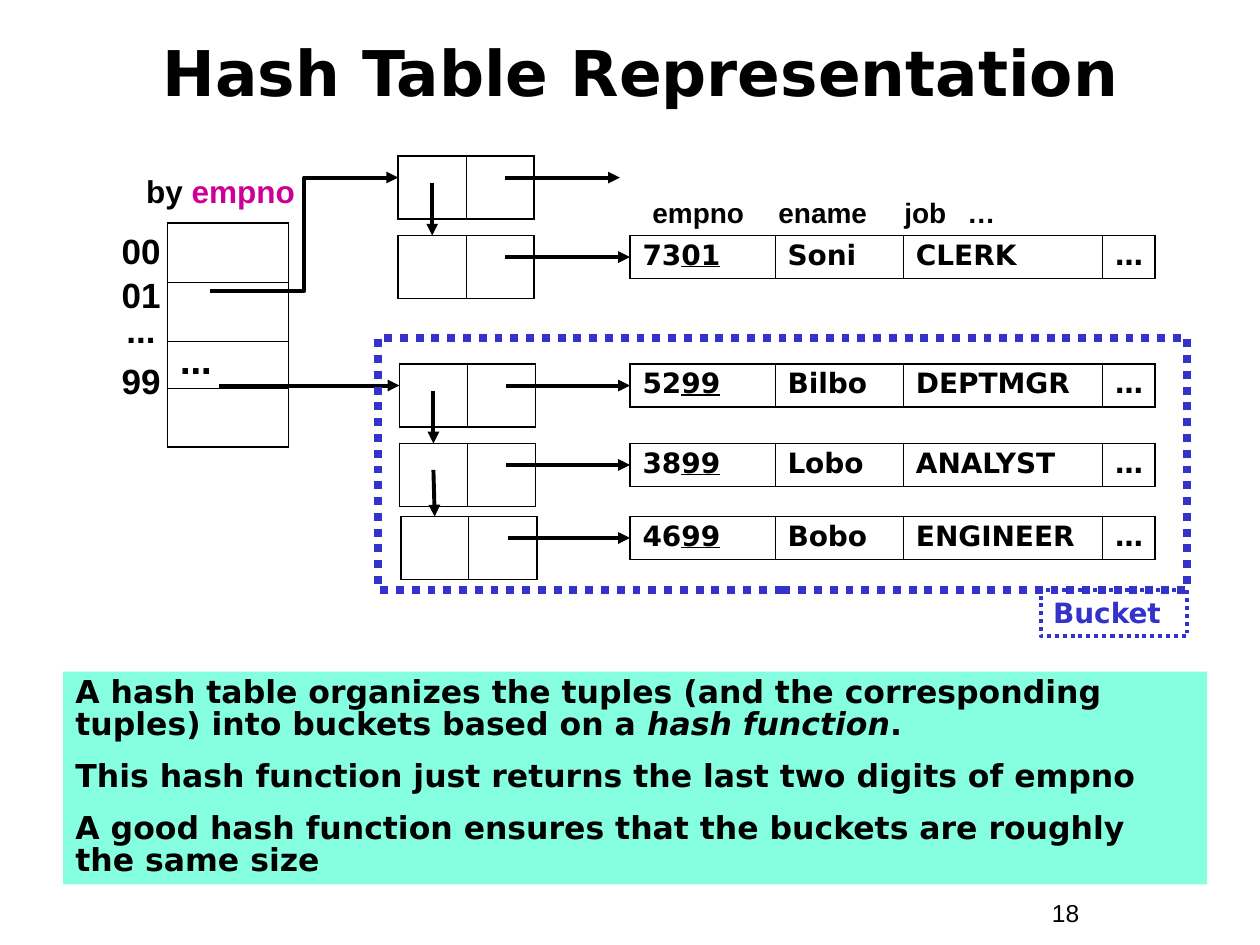
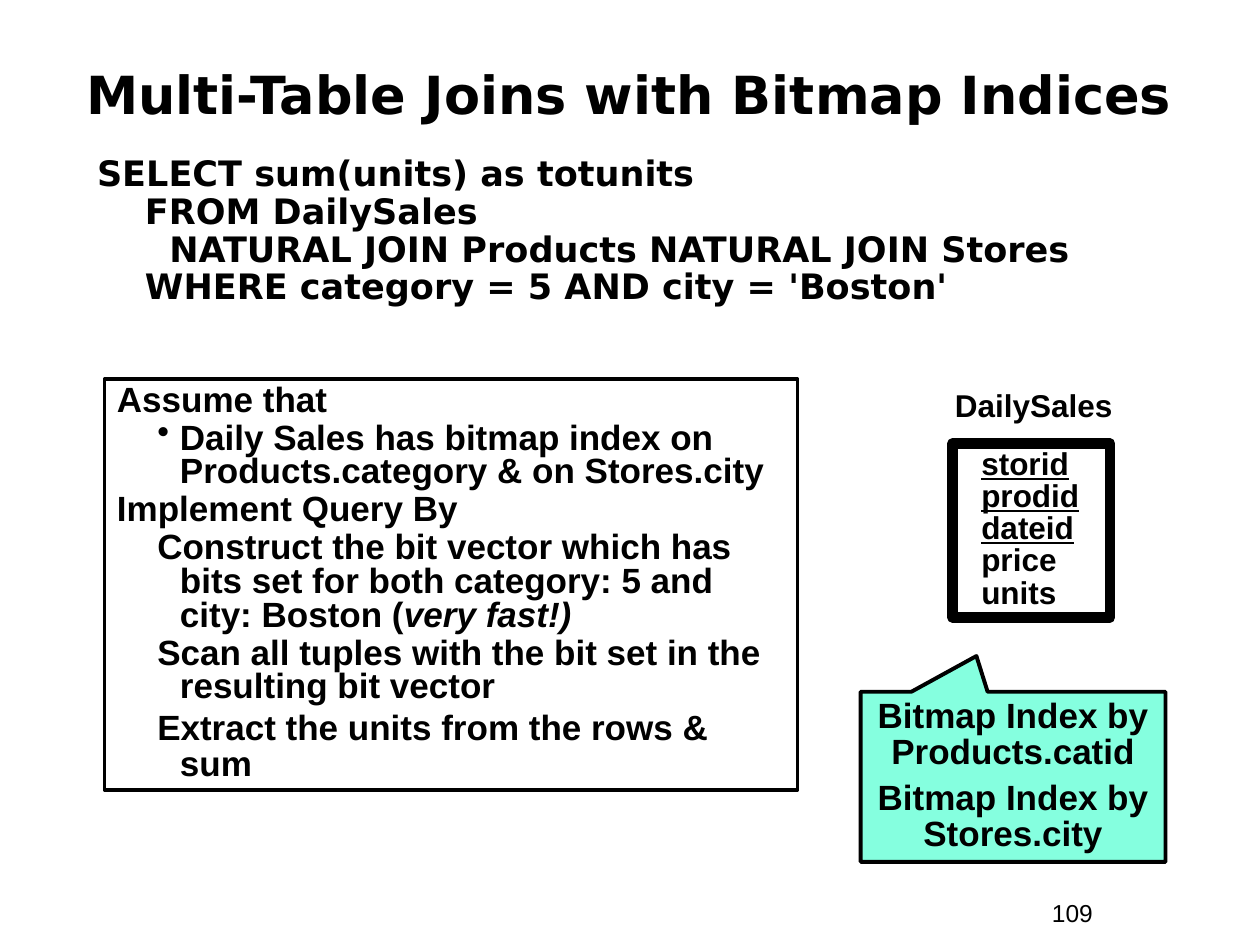
from lxml import etree
from pptx import Presentation
from pptx import util as u
from pptx.dml.color import RGBColor
from pptx.enum import dml, shapes, text
from pptx.oxml.ns import qn

COLORS = {"ink": "000000", "key": "CC0099", "bucket": "3333CC", "mint": "85FFDF"}
SANS, ARIAL = "DejaVu Sans", "Arial"
CENTER = text.PP_ALIGN.CENTER
MIDDLE = text.MSO_ANCHOR.MIDDLE
TITLE_ONLY, TITLE_AND_BODY = 5, 1
OUTER, INNER = 1.08, 0.45
ARROW_WIDTH = 2.25
RECORD_WIDTHS = [1.15, 1.02, 1.58, 0.42]
RECORD_LEFT = 5
NODE_WIDTHS = [0.54, 0.54]
NODE_HEIGHT = 0.5


def rgb(name):
    return RGBColor.from_string(COLORS[name])


def set_attributes(target, values):
    for name, value in values.items():
        setattr(target, name, value)


def style_font(font, size, name, color="ink", **values):
    set_attributes(font, {"size": u.Pt(size), "name": name, "bold": True, **values})
    font.color.rgb = rgb(color)


def para(*runs, hang=None, bullet=None, **layout):
    return {"runs": runs, "hang": hang, "bullet": bullet, "layout": layout}


def set_indent(paragraph, hang, bullet):
    properties = paragraph._p.get_or_add_pPr()
    left, first = hang or (0, 0)
    properties.set("marL", str(u.Inches(left)))
    properties.set("indent", str(u.Inches(first)))
    if bullet:
        etree.SubElement(properties, qn("a:buChar")).set("char", bullet)
    else:
        etree.SubElement(properties, qn("a:buNone"))


def write(frame, paragraphs, size, name, color="ink", anchor=None, **layout):
    set_attributes(frame, {"word_wrap": True, "auto_size": text.MSO_AUTO_SIZE.NONE})
    if anchor is not None:
        frame.vertical_anchor = anchor
    fill_paragraphs(frame, paragraphs, size, name, color, **layout)


def fill_paragraphs(frame, paragraphs, size, name, color="ink", **layout):
    for index, entry in enumerate(paragraphs):
        paragraph = frame.add_paragraph() if index else frame.paragraphs[0]
        set_indent(paragraph, entry["hang"], entry["bullet"])
        values = {"space_before": u.Pt(0), **layout, **entry["layout"]}
        if index == 0:
            values["space_before"] = u.Pt(0)
        set_attributes(paragraph, values)
        for run_entry in entry["runs"]:
            words, changes = run_entry if isinstance(run_entry, tuple) else (run_entry, {})
            for line_index, line in enumerate(words.split("\n")):
                if line_index:
                    paragraph.add_line_break()
                run = paragraph.add_run()
                run.text = line
                style_font(run.font, size, name, **{"color": color, **changes})


def place(shape, box):
    set_attributes(shape, dict(zip(("left", "top", "width", "height"), map(u.Inches, box))))


def add_slide(presentation, layout, title, box, size, number):
    slide = presentation.slides.add_slide(presentation.slide_layouts[layout])
    place(slide.shapes.title, box)
    write(slide.shapes.title.text_frame, [para(title)], size, SANS,
          anchor=MIDDLE, alignment=CENTER)
    add_text(slide, (8.25, 7.08, 0.92, 0.34), [para((number, {"bold": False}))], 14, ARIAL)
    return slide


def add_text(slide, box, paragraphs, size, name, **layout):
    shape = slide.shapes.add_textbox(*map(u.Inches, box))
    write(shape.text_frame, paragraphs, size, name, **layout)
    return shape


def add_box(slide, box, fill=None, line=None, width=ARROW_WIDTH, dash=None,
            kind=shapes.MSO_SHAPE.RECTANGLE):
    shape = slide.shapes.add_shape(kind, *map(u.Inches, box))
    shape.shadow.inherit = False
    if fill:
        shape.fill.solid()
        shape.fill.fore_color.rgb = rgb(fill)
    else:
        shape.fill.background()
    if line:
        shape.line.color.rgb = rgb(line)
        set_attributes(shape.line, {"width": u.Pt(width), "dash_style": dash})
    else:
        shape.line.fill.background()
    return shape


def write_box(shape, paragraphs, size, name, anchor=text.MSO_ANCHOR.TOP,
              alignment=text.PP_ALIGN.LEFT, **layout):
    write(shape.text_frame, paragraphs, size, name, anchor=anchor,
          alignment=alignment, **layout)


def add_arrow(slide, start, end, kind=shapes.MSO_CONNECTOR.STRAIGHT):
    arrow = slide.shapes.add_connector(kind, *map(u.Inches, start + end))
    arrow.line.color.rgb = rgb("ink")
    arrow.line.width = u.Pt(ARROW_WIDTH)
    line = arrow.line._get_or_add_ln()
    etree.SubElement(line, qn("a:tailEnd")).set("type", "triangle")
    etree.SubElement(arrow._element.spPr, qn("a:effectLst"))


def set_borders(cell, sides):
    properties = cell._tc.get_or_add_tcPr()
    for index, (side, outer) in enumerate(sides.items()):
        line = etree.Element(qn("a:ln" + side), w=str(u.Pt(OUTER if outer else INNER)))
        fill = etree.SubElement(line, qn("a:solidFill"))
        etree.SubElement(fill, qn("a:srgbClr")).set("val", COLORS["ink"])
        properties.insert(index, line)


def add_grid(slide, left, top, widths, heights, entries=None):
    rows, columns = len(heights), len(widths)
    box = (left, top, sum(widths), sum(heights))
    table = slide.shapes.add_table(rows, columns, *map(u.Inches, box)).table
    set_attributes(table, {"first_row": False, "horz_banding": False})
    for column, width in zip(table.columns, widths):
        column.width = u.Inches(width)
    for r, height in enumerate(heights):
        table.rows[r].height = u.Inches(height)
        for c in range(columns):
            cell = table.cell(r, c)
            cell.fill.background()
            set_borders(cell, {"L": c == 0, "R": c == columns - 1,
                               "T": r == 0, "B": r == rows - 1})
            if entries and (r, c) in entries:
                paragraph, size, anchor = entries[r, c]
                cell.vertical_anchor = anchor
                fill_paragraphs(cell.text_frame, [paragraph], size, SANS, line_spacing=0.9)


def add_record(slide, top, record):
    empno, ename, job = record
    cells = [para(empno[:2], (empno[2:], {"underline": True})),
             para(ename), para(job), para("…")]
    entries = {(0, c): (cell, 16, text.MSO_ANCHOR.TOP) for c, cell in enumerate(cells)}
    add_grid(slide, RECORD_LEFT, top, RECORD_WIDTHS, [0.34], entries)


def add_chain(slide, nodes):
    for left, top, record in nodes:
        add_grid(slide, left, top, NODE_WIDTHS, [NODE_HEIGHT])
        if record:
            add_record(slide, top, record)
        end = RECORD_LEFT if record else 4.92
        add_arrow(slide, (left + 0.85, top + 0.17), (end, top + 0.17))
    for (left, top, _), (next_left, next_top, _) in zip(nodes, nodes[1:]):
        add_arrow(slide, (left + 0.27, top + 0.21), (next_left + 0.27, next_top))


def add_column_names(slide):
    shape = add_text(slide, (5.08, 1.5, 4.75, 0.37), [para()], 16, ARIAL)
    paragraph = shape.text_frame.paragraphs[0]
    tabs = etree.SubElement(paragraph._p.get_or_add_pPr(), qn("a:tabLst"))
    for position in (1.03, 2.25, 3.87):
        etree.SubElement(tabs, qn("a:tab"), pos=str(u.Inches(position)), algn="l")
    run = paragraph.add_run()
    run.text = "empno\tename\tjob\t…"
    style_font(run.font, 16, ARIAL)


def build_hash_table(presentation):
    slide = add_slide(presentation, TITLE_ONLY, "Hash Table Representation",
                      (0.42, 0.11, 9.33, 0.92), 36, "18")
    add_grid(slide, 1.33, 1.77, [0.96], [0.47, 0.47, 0.37, 0.47],
             {(2, 0): (para("…"), 18, MIDDLE)})
    add_text(slide, (0.83, 1.77, 0.58, 1.47),
             [para("00"), para("01", space_before=u.Pt(1.2)),
              para("...", line_spacing=0.85), para("99", space_before=u.Pt(5))],
             20, ARIAL, alignment=CENTER)
    add_text(slide, (0.96, 1.32, 1.58, 0.4),
             [para("by ", ("empno", {"color": "key"}))], 18, ARIAL, alignment=CENTER)
    add_column_names(slide)

    add_chain(slide, [(3.16, 1.24, None), (3.16, 1.87, ("7301", "Soni", "CLERK"))])
    add_chain(slide, [(3.17, 2.89, ("5299", "Bilbo", "DEPTMGR")),
                      (3.17, 3.52, ("3899", "Lobo", "ANALYST")),
                      (3.18, 4.1, ("4699", "Bobo", "ENGINEER"))])
    add_arrow(slide, (1.67, 2.31), (3.16, 1.41), shapes.MSO_CONNECTOR.ELBOW)
    add_arrow(slide, (1.74, 3.06), (3.17, 3.06))

    dots = dml.MSO_LINE.ROUND_DOT
    add_box(slide, (3, 2.68, 6.42, 2), line="bucket", width=4.5, dash=dots)
    label = add_box(slide, (8.26, 4.68, 1.16, 0.37), line="bucket", dash=dots)
    write_box(label, [para("Bucket")], 16, SANS, color="bucket")

    summary = add_box(slide, (0.5, 5.33, 9.08, 1.69), fill="mint")
    write_box(summary, [
        para("A hash table organizes the tuples (and the corresponding tuples) "
             "into buckets based on a ", ("hash function", {"italic": True}), "."),
        para("This hash function just returns the last two digits of empno"),
        para("A good hash function ensures that the buckets are roughly the same size"),
    ], 18, SANS, line_spacing=0.85, space_before=u.Pt(11.2))


def build_bitmap_joins(presentation):
    slide = add_slide(presentation, TITLE_AND_BODY, "Multi-Table Joins with Bitmap Indices",
                      (0.33, 0.28, 9.33, 0.92), 30, "109")
    query = slide.placeholders[1]
    place(query, (0.67, 1.19, 8.5, 1.67))
    clauses = ["FROM DailySales", "  NATURAL JOIN Products NATURAL JOIN Stores",
               "WHERE category = 5 AND city = 'Boston'"]
    write(query.text_frame,
          [para("SELECT sum(units) as totunits")]
          + [para(clause, hang=(0.38, 0)) for clause in clauses],
          20, SANS, line_spacing=0.9)

    plan = add_box(slide, (0.83, 3.01, 5.5, 3.26), line="ink")
    step = (0.5, -0.18)
    write_box(plan, [
        para("Assume that"),
        para("Daily Sales has bitmap index on Products.category & on Stores.city",
             hang=step, bullet="•"),
        para("Implement Query By"),
        para("Construct the bit vector which has bits set for both category: 5 and\n"
             "city: Boston (", ("very fast!)", {"italic": True}), hang=step),
        para("Scan all tuples with the bit set in the resulting bit vector", hang=step),
        para("Extract the units from the rows & sum", hang=step,
             line_spacing=0.85, space_before=u.Pt(3.7)),
    ], 20, ARIAL, line_spacing=0.8, space_before=u.Pt(2.5))

    add_text(slide, (7.48, 3.06, 1.52, 0.36), [para("DailySales")], 18, ARIAL,
             line_spacing=0.85)
    fields = add_box(slide, (7.56, 3.52, 1.25, 1.38), line="ink", width=6)
    keys = ["storid", "prodid", "dateid"]
    write_box(fields, [para((field, {"underline": field in keys}), hang=(0.13, 0))
                       for field in keys + ["price", "units"]],
              18, ARIAL, line_spacing=0.85)

    callout = add_box(slide, (6.83, 5.49, 2.42, 1.35), fill="mint", line="ink",
                      kind=shapes.MSO_SHAPE.RECTANGULAR_CALLOUT)
    callout.adjustments[0], callout.adjustments[1] = -0.12, -0.71
    write_box(callout, [para(f"Bitmap Index by {column}")
                        for column in ("Products.catid", "Stores.city")],
              20, ARIAL, anchor=MIDDLE, alignment=CENTER,
              line_spacing=0.85, space_before=u.Pt(6.2))


def main():
    presentation = Presentation()
    set_attributes(presentation, {"slide_width": u.Inches(10), "slide_height": u.Inches(7.5)})
    build_hash_table(presentation)
    build_bitmap_joins(presentation)
    presentation.save("out.pptx")


if __name__ == "__main__":
    main()
